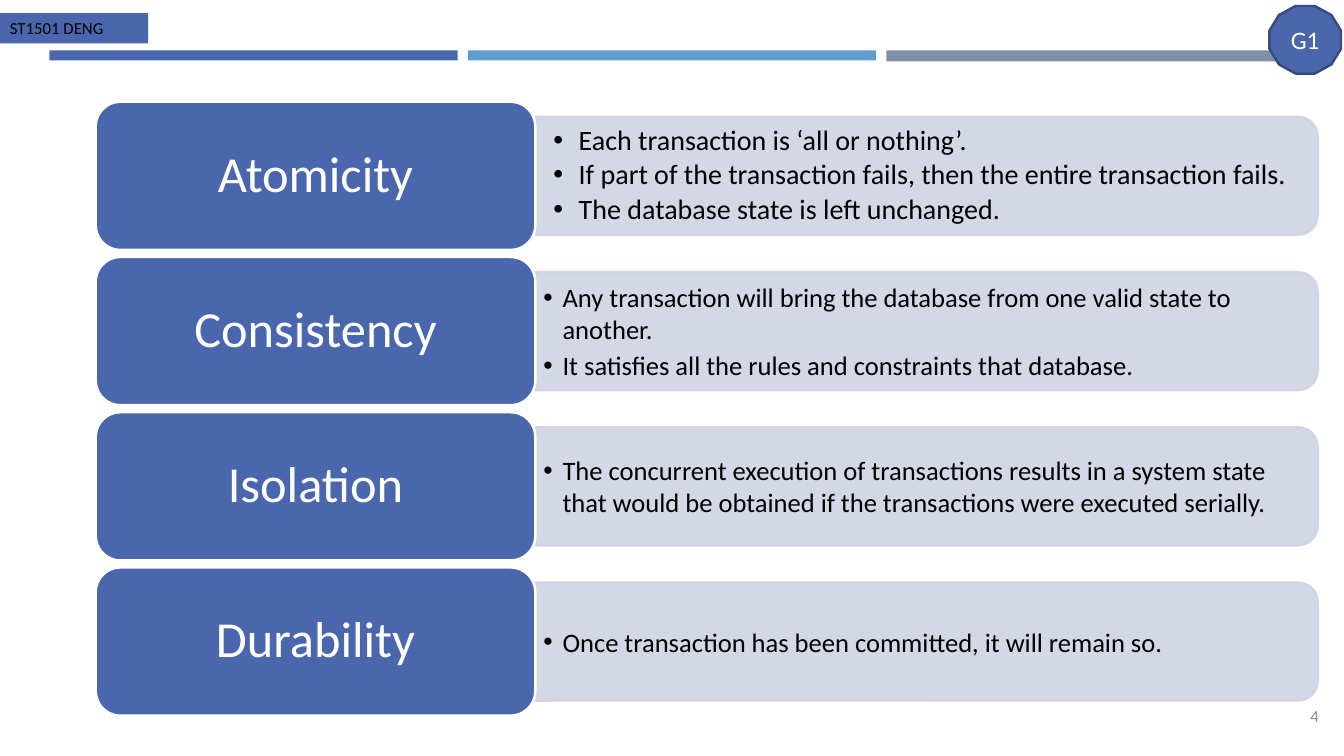
from dataclasses import dataclass

from lxml import etree
from pptx import Presentation
from pptx.dml.color import RGBColor
from pptx.enum.shapes import MSO_SHAPE
from pptx.enum.text import MSO_ANCHOR, PP_ALIGN
from pptx.oxml.ns import qn
from pptx.shapes.autoshape import Shape
from pptx.slide import Slide
from pptx.util import Inches, Pt

RECT = MSO_SHAPE.RECTANGLE
ROUNDED = MSO_SHAPE.ROUNDED_RECTANGLE
TOP_ROUNDED = MSO_SHAPE.ROUND_2_SAME_RECTANGLE
DODECAGON = MSO_SHAPE.DODECAGON
TOP, MIDDLE = MSO_ANCHOR.TOP, MSO_ANCHOR.MIDDLE
LEFT, CENTER, RIGHT = PP_ALIGN.LEFT, PP_ALIGN.CENTER, PP_ALIGN.RIGHT

COLORS = {
    "blue": "4A66AC",
    "sky": "629DD1",
    "slate": "7F8FA9",
    "navy": "374B7F",
    "pale": "D0D3E3",
    "white": "FFFFFF",
    "black": "000000",
    "grey": "8C8C8C",
}
FONT = "Calibri"
LINE_WIDTH = 1.75

# Property cards: one row per ACID property
CARD_LEFT, CARD_TOP, CARD_WIDTH, CARD_HEIGHT = 0.95, 1.01, 4.36, 1.47
CARD_PITCH = 1.54
PANEL_WIDTH, PANEL_HEIGHT = 7.76, 1.17
DETAIL_WIDTH, DETAIL_HEIGHT = 7.7, 1.06


@dataclass
class Box:
    left: float
    top: float
    width: float
    height: float


@dataclass
class Bar:
    left: float
    height: float
    color: str


@dataclass
class Property:
    name: str
    details: list[str]
    size: float = 19
    indent: float = 0.19
    inset_x: float = 0.08
    inset_y: float = 0.04
    spacing: float = 1.0


BARS = [Bar(0.49, 0.1, "blue"), Bar(8.79, 0.11, "slate"), Bar(4.64, 0.1, "sky")]

PROPERTIES = [
    Property("Atomicity", [
        "Each transaction is ‘all or nothing’.",
        "If part of the transaction fails, then the entire transaction fails.",
        "The database state is left unchanged.",
    ], size=20, indent=0.25, inset_x=0.18, inset_y=0.09, spacing=0.9),
    Property("Consistency", [
        "Any transaction will bring the database from one valid state to another.",
        "It satisfies all the rules and constraints that database.",
    ]),
    Property("Isolation", [
        "The concurrent execution of transactions results in a system state "
        "that would be obtained if the transactions were executed serially.",
    ]),
    Property("Durability", [
        "Once transaction has been committed, it will remain so.",
    ]),
]


def rgb(color: str) -> RGBColor:
    return RGBColor.from_string(COLORS[color])


def apply(target: object, values: dict) -> None:
    for name, value in values.items():
        setattr(target, name, value)


def place(box: Box) -> list[int]:
    return [Inches(v) for v in (box.left, box.top, box.width, box.height)]


def add_block(slide: Slide, kind: int, box: Box, fill: str,
              outline: str | None = None) -> Shape:
    block = slide.shapes.add_shape(kind, *place(box))
    block.shadow.inherit = False
    block.fill.solid()
    block.fill.fore_color.rgb = rgb(fill)
    if outline:
        block.line.color.rgb = rgb(outline)
        block.line.width = Pt(LINE_WIDTH)
    else:
        block.line.fill.background()
    return block


def write(shape: Shape, lines: list[str], size: float, color: str,
          align: int = LEFT, anchor: int = MIDDLE, inset_x: float = 0.1,
          inset_y: float = 0.05, indent: float = 0, spacing: float = 1.0) -> None:
    frame = shape.text_frame
    apply(frame, {
        "word_wrap": True, "vertical_anchor": anchor,
        "margin_left": Inches(inset_x), "margin_right": Inches(inset_x),
        "margin_top": Inches(inset_y), "margin_bottom": Inches(inset_y),
    })
    for index, line in enumerate(lines):
        paragraph = frame.add_paragraph() if index else frame.paragraphs[0]
        paragraph.text = line
        if indent:
            add_bullet(paragraph, indent)
        apply(paragraph, {"alignment": align, "line_spacing": spacing})
        apply(paragraph.runs[0].font, {"name": FONT, "size": Pt(size)})
        paragraph.runs[0].font.color.rgb = rgb(color)


def add_bullet(paragraph, indent: float) -> None:
    properties = paragraph._p.get_or_add_pPr()
    properties.set("marL", str(Inches(indent)))
    properties.set("indent", str(-Inches(indent)))
    etree.SubElement(properties, qn("a:buFont"), typeface="Arial")
    etree.SubElement(properties, qn("a:buChar"), char="•")
    apply(paragraph, {"level": 1, "space_after": Pt(3)})


def set_opacity(shape: Shape, percent: int) -> None:
    for color in list(shape._element.spPr.iter(qn("a:srgbClr"))):
        etree.SubElement(color, qn("a:alpha"), val=str(percent * 1000))


def add_property(slide: Slide, item: Property, top: float) -> None:
    middle = top + CARD_HEIGHT / 2
    seam = CARD_LEFT + CARD_WIDTH

    # Panel, turned so that its rounded corners face right
    panel = add_block(slide, TOP_ROUNDED, Box(
        seam + (PANEL_WIDTH - PANEL_HEIGHT) / 2, middle - PANEL_WIDTH / 2,
        PANEL_HEIGHT, PANEL_WIDTH), "pale", "pale")
    panel.rotation = 90
    set_opacity(panel, 90)

    # Bulleted details
    details = slide.shapes.add_textbox(*place(Box(
        seam, middle - DETAIL_HEIGHT / 2, DETAIL_WIDTH, DETAIL_HEIGHT)))
    write(details, item.details, item.size, "black", inset_x=item.inset_x,
          inset_y=item.inset_y, indent=item.indent, spacing=item.spacing)

    # Name card
    card = add_block(slide, ROUNDED, Box(CARD_LEFT, top, CARD_WIDTH, CARD_HEIGHT),
                     "blue", "white")
    write(card, [item.name], 36, "white", CENTER, spacing=0.9)


def main() -> None:
    deck = Presentation()
    deck.slide_width, deck.slide_height = Inches(13.33), Inches(7.5)
    slide = deck.slides.add_slide(deck.slide_layouts[6])

    # Header
    for bar in BARS:
        add_block(slide, RECT, Box(bar.left, 0.5, 4.05, bar.height), bar.color)
    badge = add_block(slide, DODECAGON, Box(12.59, 0.06, 0.71, 0.67), "blue", "navy")
    write(badge, ["G1"], 18, "white", CENTER)
    module_tag = add_block(slide, RECT, Box(0, 0.13, 1.47, 0.3), "blue")
    write(module_tag, ["ST1501 DENG"], 12, "black", anchor=TOP)

    # ACID properties
    for row, item in enumerate(PROPERTIES):
        add_property(slide, item, CARD_TOP + row * CARD_PITCH)

    # Page number
    page_number = slide.shapes.add_textbox(*place(Box(12.03, 6.9, 1.15, 0.4)))
    write(page_number, ["4"], 12, "grey", RIGHT)

    deck.save("out.pptx")


if __name__ == "__main__":
    main()
